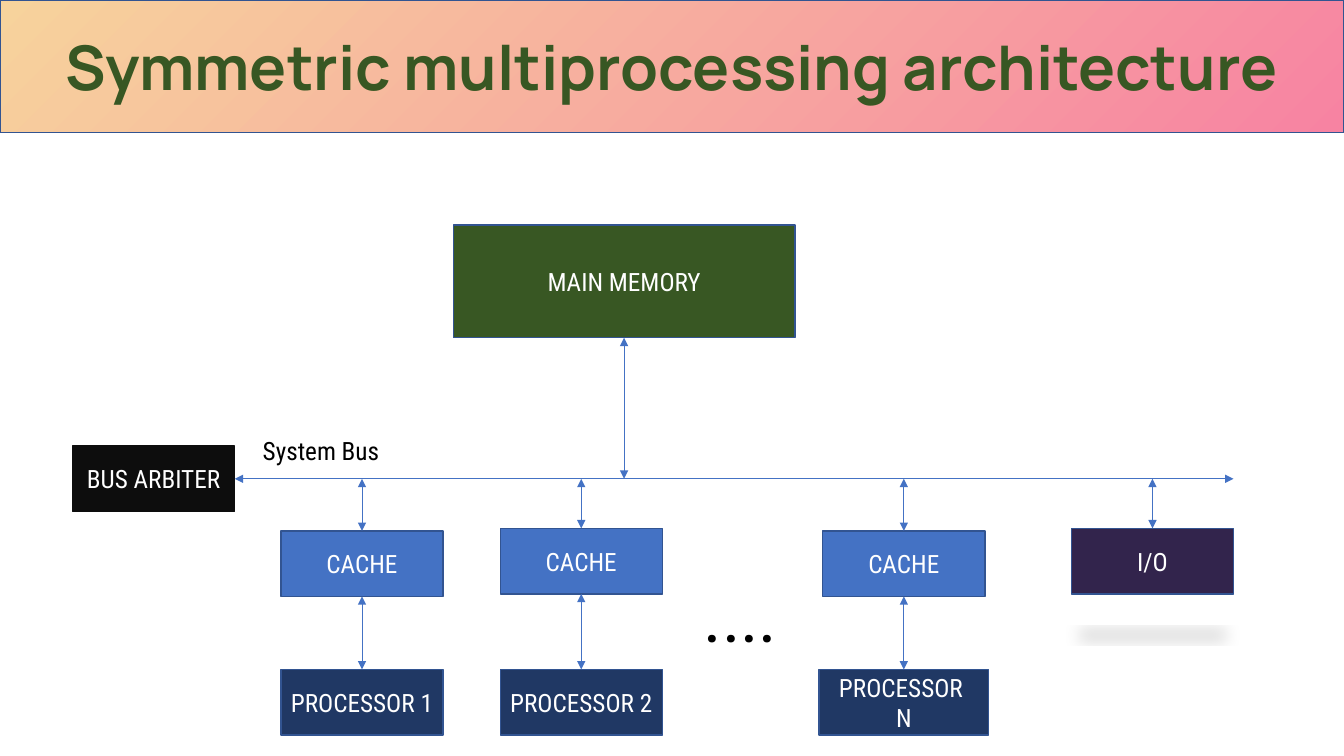
from dataclasses import dataclass

from lxml.etree import SubElement
from pptx import Presentation
from pptx.dml.color import RGBColor
from pptx.enum.shapes import MSO_CONNECTOR, MSO_SHAPE
from pptx.enum.text import MSO_ANCHOR, MSO_AUTO_SIZE, PP_ALIGN
from pptx.oxml.ns import qn
from pptx.shapes.autoshape import Shape
from pptx.shapes.connector import Connector
from pptx.util import Emu, Inches, Pt

# The slide is a grid of 16 columns and 9 rows of square cells.
COLUMNS, ROWS = 16, 9
SLIDE_WIDTH, SLIDE_HEIGHT = Inches(13.33), Inches(7.5)

BODY_FONT, TITLE_FONT = "Roboto Condensed", "Manrope"
WHITE, BLACK, NEAR_BLACK = "FFFFFF", "000000", "0D0D0D"
GREEN, BLUE, NAVY, PURPLE = "385723", "4472C4", "203864", "32244C"
OUTLINE, BANNER_START, BANNER_END = "325491", "F7D39C", "F783A2"

TOP, BOTTOM, RIGHT = 0, 2, 3
UNIT_WIDTH, UNIT_HEIGHT = 1.93, 0.78
BUS_ROW = 5.7
PROCESSOR_ROW = 7.97


@dataclass
class Unit:
    label: str
    center: float
    top: float
    color: str
    width: float = UNIT_WIDTH
    height: float = UNIT_HEIGHT
    outline: str = OUTLINE


@dataclass
class Core:
    processor: str
    center: float
    cache_top: float
    processor_width: float = UNIT_WIDTH


MEMORY = Unit("MAIN MEMORY", 7.43, 2.68, GREEN, 4.07, 1.34)
ARBITER = Unit("BUS ARBITER", 1.83, BUS_ROW - UNIT_HEIGHT / 2, NEAR_BLACK, outline=NEAR_BLACK)
DEVICES = Unit("I/O", 13.72, 6.29, PURPLE)
CORES = [
    Core("PROCESSOR 1", 4.31, 6.32),
    Core("PROCESSOR 2", 6.92, 6.29),
    Core("PROCESSOR \nN", 10.76, 6.32, 2.02),
]


def rgb(color: str) -> RGBColor:
    return RGBColor.from_string(color)


def col(columns: float) -> Emu:
    return Emu(round(SLIDE_WIDTH * columns / COLUMNS))


def row(rows: float) -> Emu:
    return Emu(round(SLIDE_HEIGHT * rows / ROWS))


def write(shape: Shape, text: str, *, size: float = 18, font: str = BODY_FONT,
          color: str = WHITE, bold: bool = False, align: PP_ALIGN = PP_ALIGN.CENTER) -> None:
    frame = shape.text_frame
    frame.word_wrap = True
    frame.text = text
    for paragraph in frame.paragraphs:
        paragraph.alignment = align
        paragraph.font.size = Pt(size)
        paragraph.font.name = font
        paragraph.font.bold = bold
        paragraph.font.color.rgb = rgb(color)


def add_box(slide, left: float, top: float, width: float, height: float, outline: str) -> Shape:
    box = slide.shapes.add_shape(MSO_SHAPE.RECTANGLE, col(left), row(top), col(width), row(height))
    box.shadow.inherit = False
    box.line.color.rgb = rgb(outline)
    box.line.width = Pt(1)
    box.text_frame.vertical_anchor = MSO_ANCHOR.MIDDLE
    return box


def add_unit(slide, unit: Unit) -> Shape:
    box = add_box(slide, unit.center - unit.width / 2, unit.top, unit.width, unit.height, unit.outline)
    box.fill.solid()
    box.fill.fore_color.rgb = rgb(unit.color)
    write(box, unit.label)
    return box


def add_label(slide, left: float, top: float, width: float, height: float,
              text: str, size: float) -> None:
    label = slide.shapes.add_textbox(col(left), row(top), col(width), row(height))
    write(label, text, size=size, color=BLACK, align=PP_ALIGN.LEFT)
    label.text_frame.auto_size = MSO_AUTO_SIZE.SHAPE_TO_FIT_TEXT


def add_link(slide, start: Shape, side: int, x: float, y: float) -> Connector:
    """Draw a double-headed arrow from a side of a box to a grid point."""
    link = slide.shapes.add_connector(MSO_CONNECTOR.STRAIGHT, col(x), row(y), col(x), row(y))
    link.begin_connect(start, side)
    link.line.color.rgb = rgb(BLUE)
    link.line.width = Pt(0.5)
    line = link.line._get_or_add_ln()
    for end in ("a:headEnd", "a:tailEnd"):
        SubElement(line, qn(end), type="triangle")
    SubElement(link._element.spPr, qn("a:effectLst"))
    return link


def add_floor_shadow(box: Shape) -> None:
    """Cast a flattened, blurred shadow below the box."""
    effects = box._element.spPr.find(qn("a:effectLst"))
    shadow = SubElement(effects, qn("a:outerShdw"), blurRad=str(Pt(12)), dist=str(Pt(25)),
                        dir="5400000", sx="90000", sy="-19000", rotWithShape="0")
    shade = SubElement(shadow, qn("a:srgbClr"), val=BLACK)
    SubElement(shade, qn("a:alpha"), val="15000")


def add_core(slide, core: Core) -> None:
    """Add a cache on the bus with its processor below."""
    cache = add_unit(slide, Unit("CACHE", core.center, core.cache_top, BLUE))
    processor = add_unit(
        slide, Unit(core.processor, core.center, PROCESSOR_ROW, NAVY, core.processor_width))
    add_link(slide, cache, TOP, core.center, BUS_ROW)
    cache_bottom = core.cache_top + UNIT_HEIGHT
    add_link(slide, processor, TOP, core.center, cache_bottom).end_connect(cache, BOTTOM)


def add_banner(slide, title: str) -> None:
    banner = add_box(slide, 0, 0, COLUMNS, 1.58, OUTLINE)
    banner.fill.gradient()
    banner.fill.gradient_angle = 315
    for stop, position, color in zip(banner.fill.gradient_stops, (0, 1), (BANNER_START, BANNER_END)):
        stop.position = position
        stop.color.rgb = rgb(color)
    write(banner, title, size=44, font=TITLE_FONT, color=GREEN, bold=True)


def main() -> None:
    deck = Presentation()
    deck.slide_width, deck.slide_height = SLIDE_WIDTH, SLIDE_HEIGHT
    slide = deck.slides.add_slide(deck.slide_layouts[6])

    memory = add_unit(slide, MEMORY)
    arbiter = add_unit(slide, ARBITER)
    devices = add_unit(slide, DEVICES)
    add_floor_shadow(devices)
    for core in CORES:
        add_core(slide, core)

    add_link(slide, arbiter, RIGHT, DEVICES.center + UNIT_WIDTH / 2, BUS_ROW)
    add_link(slide, devices, TOP, DEVICES.center, BUS_ROW)
    add_link(slide, memory, BOTTOM, MEMORY.center, BUS_ROW)

    add_label(slide, 8.26, 6.76, 1.36, 1.13, "....", 50)
    add_label(slide, 3.01, 5.12, 2.6, 0.48, "System Bus", 18)
    add_banner(slide, "Symmetric multiprocessing architecture")
    deck.save("out.pptx")


if __name__ == "__main__":
    main()
